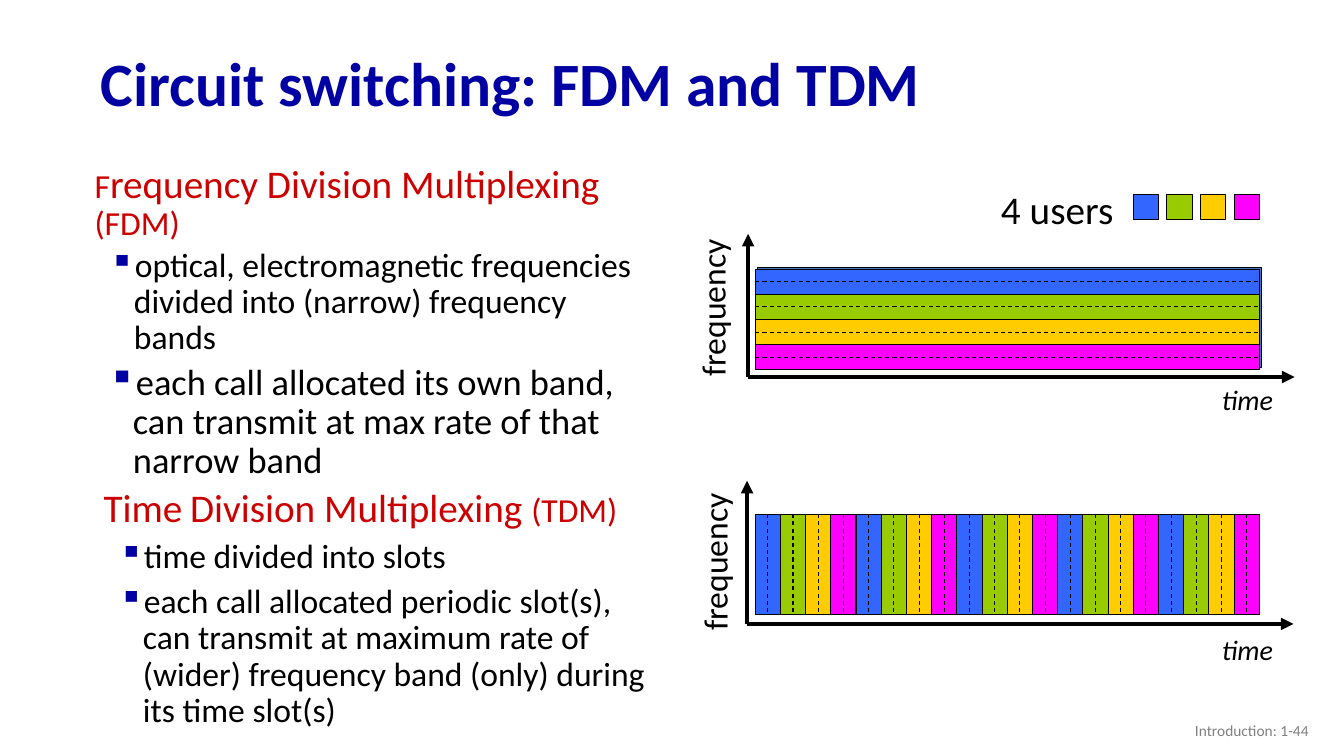
from dataclasses import dataclass

from lxml import etree
from pptx import Presentation
from pptx.dml.color import RGBColor
from pptx.enum.dml import MSO_LINE_DASH_STYLE as Dash
from pptx.enum.shapes import MSO_CONNECTOR as Connector, MSO_SHAPE as Shape
from pptx.enum.text import MSO_ANCHOR as Anchor, MSO_AUTO_SIZE as AutoSize, PP_ALIGN as Align
from pptx.oxml.ns import qn
from pptx.util import Inches, Pt


@dataclass(frozen=True)
class Theme:
    font: str = "Calibri"
    navy: str = "0000A3"
    red: str = "CC0000"
    black: str = "000000"
    grey: str = "808080"
    base: str = "4472C4"
    users: tuple = ("3366FF", "99CC00", "FFCC00", "FF00FF")
    title: int = 44
    heading: int = 28
    large: int = 26
    body: int = 24
    small: int = 20
    footer: int = 11
    thin: float = 0.75
    thick: float = 3


THEME = Theme()


def colour(code):
    return RGBColor.from_string(code)


def format_font(font, size, code, bold=False, italic=False):
    font.name, font.size = THEME.font, Pt(size)
    font.bold, font.italic = bold, italic
    font.color.rgb = colour(code)


def add_text_box(slide, box):
    shape = slide.shapes.add_textbox(*map(Inches, box))
    shape.text_frame.word_wrap = True
    return shape


def add_label(slide, box, text, size, italic=False, rotation=0):
    """A one-line label that fits its text."""
    shape = add_text_box(slide, box)
    shape.rotation = rotation
    frame = shape.text_frame
    frame.word_wrap, frame.auto_size = False, AutoSize.SHAPE_TO_FIT_TEXT
    frame.text = text
    format_font(frame.paragraphs[0].runs[0].font, size, THEME.black, italic=italic)


def add_block(slide, box, fill):
    block = slide.shapes.add_shape(Shape.RECTANGLE, *map(Inches, box))
    block.shadow.inherit = False
    block.fill.solid()
    block.fill.fore_color.rgb = colour(fill)
    block.line.color.rgb = colour(THEME.black)
    block.line.width = Pt(THEME.thin)
    return block


def add_line(slide, start, end, width=THEME.thin, arrow=False):
    line = slide.shapes.add_connector(Connector.STRAIGHT, *map(Inches, (*start, *end)))
    line.line.color.rgb = colour(THEME.black)
    line.line.width = Pt(width)
    properties = line._element.spPr
    if arrow:
        etree.SubElement(properties.find(qn("a:ln")), qn("a:tailEnd"), type="triangle")
    etree.SubElement(properties, qn("a:effectLst"))
    return line


def add_bullet(para):
    properties = para._p.get_or_add_pPr()
    properties.set("marL", str(Inches(0.39)))
    properties.set("indent", str(Inches(-0.24)))
    shade = etree.SubElement(properties, qn("a:buClr"))
    etree.SubElement(shade, qn("a:srgbClr"), val=THEME.navy)
    etree.SubElement(properties, qn("a:buChar"), char="▪")


def add_title(slide, box, text):
    title = slide.shapes.title
    title.left, title.top, title.width, title.height = map(Inches, box)
    frame = title.text_frame
    frame.text = text
    frame.auto_size, frame.vertical_anchor = AutoSize.NONE, Anchor.MIDDLE
    para = frame.paragraphs[0]
    para.alignment, para.line_spacing = Align.LEFT, 0.9
    format_font(para.runs[0].font, THEME.title, THEME.navy, bold=True)


def add_points(slide, box, bullet, gap=0, heading=(), size=THEME.body):
    """An optional heading of (text, size) spans, then one bullet."""
    frame = add_text_box(slide, box).text_frame
    para = frame.paragraphs[0]
    if heading:
        para.line_spacing = 0.9
        for text, span_size in heading:
            span = para.add_run()
            span.text = text
            format_font(span.font, span_size, THEME.red)
        para = frame.add_paragraph()
        para.space_before = Pt(gap)
    para.text = bullet
    add_bullet(para)
    para.line_spacing = 0.9
    format_font(para.runs[0].font, size, THEME.black)


def add_axes(slide, box, frequency_offset, time_offset):
    """Arrows and axis names; offsets run from the box's top left corner."""
    left, top, width, height = box
    origin = (left, top + height)
    add_line(slide, origin, (left, top), THEME.thick, arrow=True)
    add_line(slide, origin, (left + width, top + height), THEME.thick, arrow=True)
    across, down = frequency_offset
    add_label(slide, (left + across, top + down, 1.58, 0.51), "frequency", THEME.body, rotation=270)
    across, down = time_offset
    add_label(slide, (left + across, top + down, 0.73, 0.44), "time", THEME.small, italic=True)


def add_stripes(slide, box, count, stacked):
    """Equal stripes in user colours, with dividers and dashed centre lines."""
    left, top, width, height = box
    step_x, step_y = (0, height / count) if stacked else (width / count, 0)
    size = (width, step_y) if stacked else (step_x, height)
    corners = [(left + i * step_x, top + i * step_y) for i in range(count)]
    stripes = [add_block(slide, (*corner, *size), THEME.users[i % len(THEME.users)])
               for i, corner in enumerate(corners)]
    for x, y in corners[1:]:
        end = (x + width, y) if stacked else (x, y + height)
        add_line(slide, (x, y), end)
    first_side, last_side = (1, 3) if stacked else (0, 2)
    for corner, stripe in zip(corners, stripes):
        centre = add_line(slide, corner, corner)
        centre.line.dash_style = Dash.DASH
        centre.begin_connect(stripe, first_side)
        centre.end_connect(stripe, last_side)


def add_legend(slide, box):
    left, top, width, height = box
    add_label(slide, (left, top, 1.33, height), "4 users", THEME.heading)
    side, pitch = 0.25, 1 / 3
    first = left + width - side - pitch * (len(THEME.users) - 1)
    for i, fill in enumerate(THEME.users):
        add_block(slide, (first + i * pitch, top + 0.14, side, side), fill)


def add_footer(slide, box, text):
    frame = add_text_box(slide, box).text_frame
    frame.text = text
    frame.vertical_anchor = Anchor.MIDDLE
    para = frame.paragraphs[0]
    para.alignment = Align.RIGHT
    format_font(para.runs[0].font, THEME.footer, THEME.grey)


def main():
    deck = Presentation()
    deck.slide_width, deck.slide_height = Inches(13.33), Inches(7.5)
    page = deck.slides.add_slide(deck.slide_layouts[5])
    add_title(page, (0.9, 0.37, 11.5, 0.98), "Circuit switching: FDM and TDM")

    # Frequency division diagram
    add_axes(page, (7.42, 2.32, 5.42, 1.42), (-1.14, 0.47), (4.6, 1.43))
    add_block(page, (7.51, 2.65, 5, 1), THEME.base)
    add_stripes(page, (7.49, 2.67, 5, 1), 4, stacked=True)

    # Time division diagram
    add_axes(page, (7.41, 4.77, 5.42, 1.42), (-1.11, 0.54), (4.61, 1.46))
    add_block(page, (7.49, 5.1, 5, 1), THEME.base)
    add_stripes(page, (7.49, 5.1, 5, 1), 20, stacked=False)

    add_legend(page, (9.83, 1.79, 2.66, 0.57))

    # Explanations
    add_points(page, (0.84, 1.58, 5.76, 2.17),
               "optical, electromagnetic frequencies divided into (narrow) frequency bands", gap=4,
               heading=(("F", THEME.body), ("requency Division Multiplexing ", THEME.heading),
                        ("(FDM)", THEME.body)))
    add_points(page, (0.83, 3.56, 5.76, 1.14),
               "each call allocated its own band, can transmit at max rate of that narrow band",
               size=THEME.large)
    add_points(page, (0.93, 4.8, 5.77, 0.95), "time divided into slots", gap=6,
               heading=(("Time", THEME.heading), (" ", THEME.body),
                        ("Division Multiplexing ", THEME.heading), ("(TDM)", THEME.body)))
    add_points(page, (0.93, 5.75, 5.77, 1.7),
               "each call allocated periodic slot(s), can transmit at maximum rate of "
               "(wider) frequency band (only) during its time slot(s)")

    add_footer(page, (10.08, 7.05, 3, 0.4), "Introduction: 1-44")
    deck.save("out.pptx")


if __name__ == "__main__":
    main()
